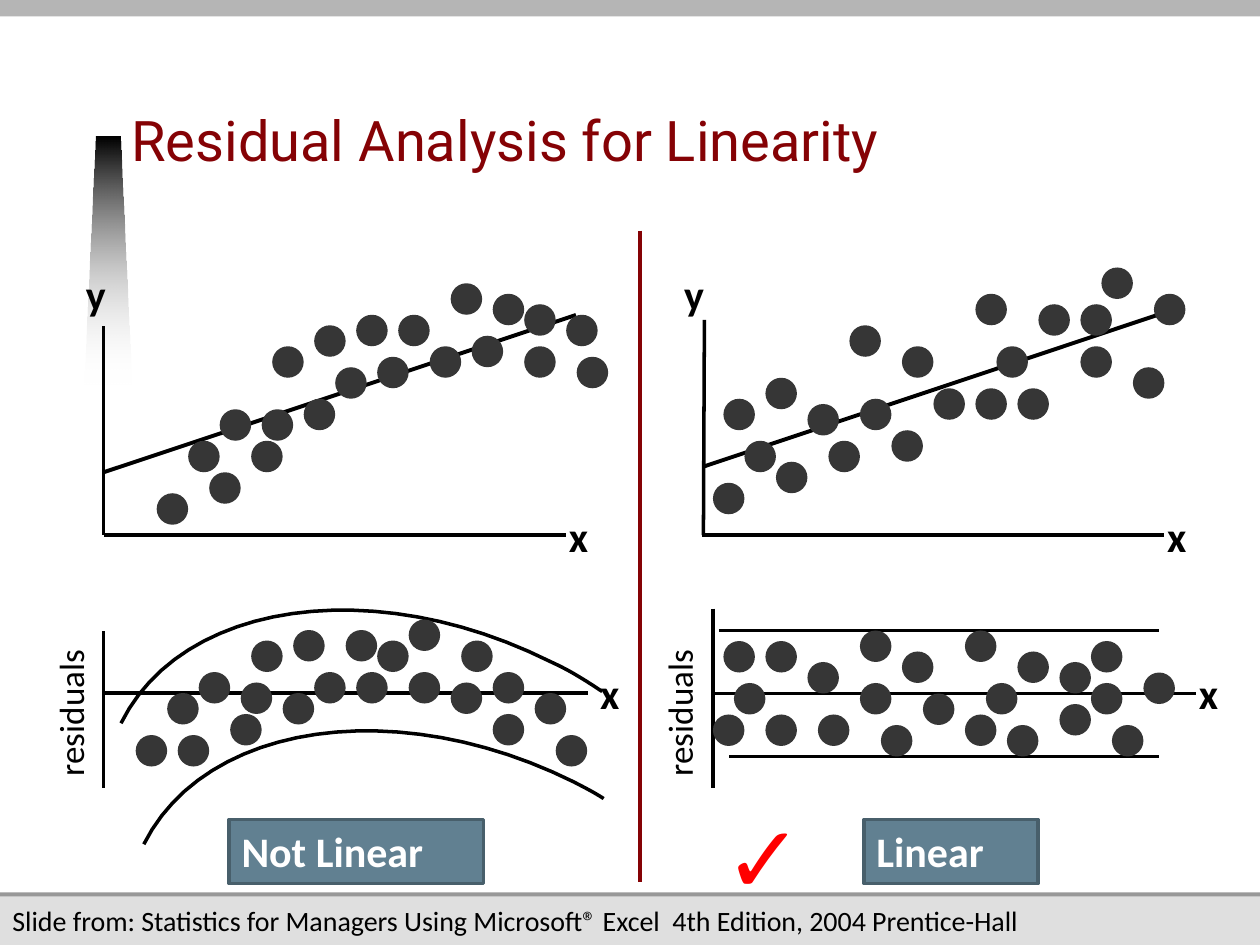
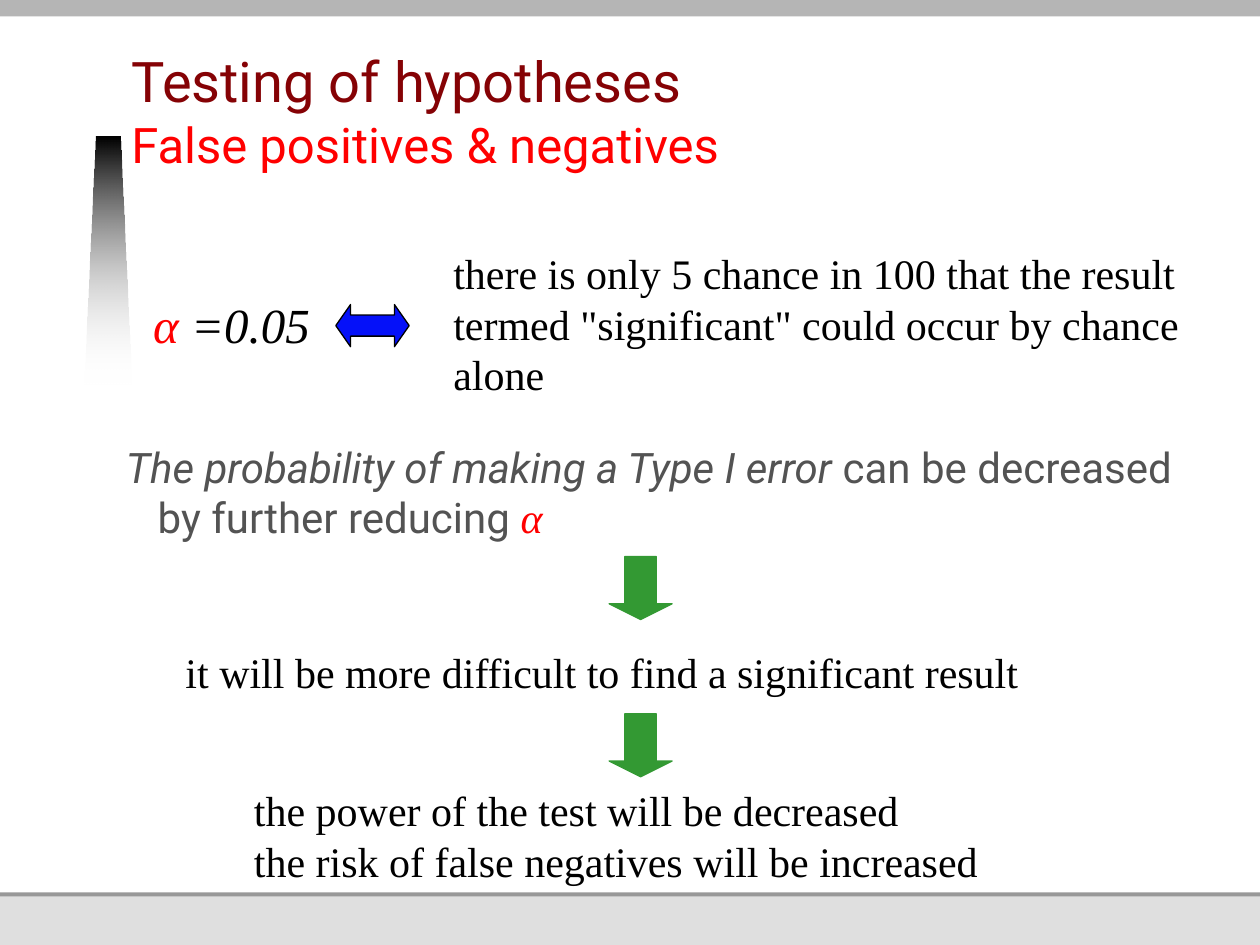
from lxml.etree import SubElement
from pptx import Presentation
from pptx.dml.color import RGBColor
from pptx.enum.shapes import MSO_CONNECTOR, MSO_SHAPE
from pptx.enum.text import MSO_ANCHOR, PP_ALIGN
from pptx.oxml.ns import qn
from pptx.util import Cm, Pt

# Colours
BLACK = RGBColor(0x00, 0x00, 0x00)
WHITE = RGBColor(0xFF, 0xFF, 0xFF)
MAROON = RGBColor(0x85, 0x02, 0x05)
RED = RGBColor(0xFF, 0x00, 0x00)
BLUE = RGBColor(0x05, 0x11, 0xF9)
GREEN = RGBColor(0x33, 0x99, 0x33)
TAG_FILL = RGBColor(0x61, 0x80, 0x91)
TAG_LINE = RGBColor(0x48, 0x5F, 0x6B)
DOT_GREY = RGBColor(0x36, 0x36, 0x36)
BODY_GREY = RGBColor(0x53, 0x53, 0x53)
TOP_GREY = RGBColor(0xB5, 0xB5, 0xB5)
RULE_GREY = RGBColor(0x98, 0x98, 0x98)
FOOTER_GREY = RGBColor(0xDF, 0xDF, 0xDF)

# Text formats
TITLE = dict(name="Roboto", size=Pt(32), color=MAROON)
SUBTITLE = dict(TITLE, size=Pt(28), color=RED)
BODY = dict(name="Roboto", size=Pt(24), color=BODY_GREY)
SERIF = dict(name="Times New Roman", size=Pt(24), color=BLACK)
ALPHA = dict(SERIF, color=RED, italic=True)
AXIS = dict(name="Calibri", size=Pt(24), color=BLACK, bold=True)
TAG = dict(AXIS, color=WHITE)
RESIDUALS = dict(name="Calibri", size=Pt(20), color=BLACK)
SOURCE = dict(name="Calibri", size=Pt(16), color=BLACK)
CHECK = dict(name="Arial", size=Pt(54), color=RED)

# Scatter dots sit on a grid of twelfths of an inch
STEP = 2.54 / 12
DOT = 3 * STEP

# Each cloud: origin in cm, then (steps right, steps up) of every dot
CLOUDS = [
    ((2.1, 10.79), [
        (5, 4), (10, 6), (28, 21), (31, 18), (37, 23), (14, 9), (35, 19),
        (40, 18), (40, 22), (44, 21), (33, 24), (22, 16), (24, 21), (20, 20),
        (8, 9), (11, 12), (15, 12), (26, 17), (16, 18), (45, 17), (19, 13)]),
    ((14.16, 10.79), [
        (1, 5), (4, 9), (26, 23), (28, 18), (36, 22), (7, 7), (30, 14),
        (36, 18), (38, 25.5), (32, 22), (18, 10), (19, 18), (14, 20), (2, 13),
        (6, 15), (10, 12.5), (22, 14), (15, 13), (41, 16), (12, 9), (43, 23),
        (26, 14)]),
    ((2.1, 13.97), [
        (3, -4), (7, -4), (26, 5), (29, 7), (33, 1), (12, -2), (34, 5),
        (37, -2), (37, 2), (41, 0), (29, 2), (20, 2), (23, 6), (18, 6),
        (6, 0), (9, 2), (13, 1), (24, 2), (14, 5), (43, -4), (17, 0)]),
    ((14.16, 13.98), [
        (10, 3), (6, 5), (1, -2), (3, 1), (2, 5), (15, 1), (15, 6), (6, -2),
        (25, 6), (19, 4), (17, -3), (11, -2), (34, 3), (25, -2), (21, 0),
        (34, -1), (27, 1), (29, -3), (30, 4), (39, -3), (37, 5), (42, 2),
        (37, 1)]),
]

# Axes and residual limits: x1, y1, x2, y2
AXES = [
    (2.09, 6.58, 2.09, 10.79), (2.09, 10.79, 11.4, 10.79),
    (14.2, 6.45, 14.18, 10.79), (14.15, 10.79, 23.47, 10.79),
    (2.09, 12.73, 2.09, 15.88), (2.09, 13.97, 11.86, 13.97),
    (14.37, 12.27, 14.37, 15.88), (14.37, 13.98, 24.1, 13.98),
    (14.49, 12.71, 23.37, 12.71), (14.7, 15.25, 23.37, 15.25),
]
FITS = [(2.09, 9.52, 11.61, 6.35), (14.2, 9.4, 23.72, 6.22)]

# Residual envelopes: start, then three Bézier points per segment
ENVELOPES = [
    [(2.44, 14.58), (3.66, 12.12), (7.54, 11.56), (11.1, 13.34),
     (11.48, 13.51), (11.81, 13.72), (12.14, 13.94)],
    [(2.9, 17.02), (4.14, 14.55), (8.03, 14), (11.58, 15.77),
     (11.79, 15.88), (11.99, 15.98), (12.17, 16.1)],
]


def cm(*values):
    return [Cm(v) for v in values]


def add_runs(p, runs):
    for text, fmt in runs:
        r = p.add_run()
        r.text = text
        for key, value in fmt.items():
            if key == "color":
                r.font.color.rgb = value
            else:
                setattr(r.font, key, value)


def fill_text(tf, paragraphs, insets=(0.25, 0.13, 0.25, 0.13), wrap=True,
              anchor=MSO_ANCHOR.TOP, indent=(0, 0), **para):
    left, top, right, bottom = cm(*insets)
    frame = dict(margin_left=left, margin_top=top, margin_right=right,
                 margin_bottom=bottom, word_wrap=wrap, vertical_anchor=anchor)
    for key, value in frame.items():
        setattr(tf, key, value)
    for i, runs in enumerate(paragraphs):
        p = tf.add_paragraph() if i else tf.paragraphs[0]
        p.alignment = PP_ALIGN.LEFT
        for key, value in para.items():
            setattr(p, key, value)
        pPr = p._p.get_or_add_pPr()
        for key, value in zip(("marL", "indent"), indent):
            pPr.set(key, str(Cm(value)))
        add_runs(p, runs)


def add_text(s, box, paragraphs, rotation=0, **options):
    sp = s.shapes.add_textbox(*cm(*box))
    sp.rotation = rotation
    fill_text(sp.text_frame, paragraphs, **options)
    return sp


def add_shape(s, kind, box, fill, line=None, width=0.75, adjust=()):
    sp = s.shapes.add_shape(kind, *cm(*box))
    sp.shadow.inherit = False
    sp.fill.solid()
    sp.fill.fore_color.rgb = fill
    if line is None:
        sp.line.fill.background()
    else:
        sp.line.color.rgb = line
        sp.line.width = Pt(width)
    for i, value in enumerate(adjust):
        sp.adjustments[i] = value
    return sp


def add_line(s, ends, color=BLACK, width=2.0):
    cxn = s.shapes.add_connector(MSO_CONNECTOR.STRAIGHT, *cm(*ends))
    cxn.line.color.rgb = color
    cxn.line.width = Pt(width)
    SubElement(cxn._element.spPr, qn("a:effectLst"))


def add_outline(s, points, close):
    points = [tuple(cm(*pt)) for pt in points]
    builder = s.shapes.build_freeform(*points[0])
    builder.add_line_segments(points[1:], close=close)
    sp = builder.convert_to_shape()
    sp.shadow.inherit = False
    return sp


def bezier(a, b, c, d, parts=24):
    for i in range(1, parts + 1):
        t = i / parts
        u = 1 - t
        yield tuple(u**3 * p + 3 * u * u * t * q + 3 * u * t * t * m + t**3 * n
                    for p, q, m, n in zip(a, b, c, d))


def add_curve(s, knots):
    points = [knots[0]]
    for i in range(0, len(knots) - 1, 3):
        points += bezier(*knots[i:i + 4])
    sp = add_outline(s, points, close=False)
    sp.fill.background()
    sp.line.color.rgb = BLACK
    sp.line.width = Pt(2)


def add_cloud(s, origin, dots):
    x0, y0 = origin
    for right, up in dots:
        box = (x0 + right * STEP, y0 - up * STEP, DOT, DOT)
        add_shape(s, MSO_SHAPE.OVAL, box, DOT_GREY)


def add_streak(s):
    sp = add_outline(s, [(1.7, 7.75), (1.93, 2.75), (2.42, 2.75), (2.65, 7.75)], close=True)
    sp.line.fill.background()
    sp.fill.gradient()
    sp.fill.gradient_angle = 270
    for stop, color, position in zip(sp.fill.gradient_stops, (BLACK, WHITE), (0, 1)):
        stop.color.rgb = color
        stop.position = position
    fade = sp._element.xpath(".//a:gs/a:srgbClr")[-1]
    SubElement(fade, qn("a:alpha")).set("val", "0")


def add_framed_slide(prs, title, subtitle=None):
    s = prs.slides.add_slide(prs.slide_layouts[6])
    # Footer ground, rule, white page and top band, stacked; then the streak
    for box, color in [((0, 0, 25.4, 19.05), FOOTER_GREY),
                       ((0, 4.52, 25.4, 13.55), RULE_GREY),
                       ((0, 0, 25.4, 17.99), WHITE),
                       ((0, 0, 25.4, 0.33), TOP_GREY)]:
        add_shape(s, MSO_SHAPE.RECTANGLE, box, color)
    add_streak(s)
    # Title
    sp = add_text(s, (2.65, 0.87, 17.45, 2.75), [[(title, TITLE)]],
                  insets=(0, 0, 0, 0.13), anchor=MSO_ANCHOR.BOTTOM,
                  line_spacing=Pt(34))
    if subtitle:
        p = sp.text_frame.paragraphs[0]
        p.add_line_break()
        add_runs(p, [(subtitle, SUBTITLE)])
    return s


def build_linearity(prs):
    s = add_framed_slide(prs, "Residual Analysis for Linearity")
    # Verdicts
    for text, left, width in [("Not Linear", 4.62, 5.13), ("Linear", 17.42, 3.51)]:
        sp = add_shape(s, MSO_SHAPE.RECTANGLE, (left, 16.52, width, 1.29),
                       TAG_FILL, TAG_LINE, 2)
        fill_text(sp.text_frame, [[(text, TAG)]])
    add_text(s, (14.35, 15.97, 3.63, 2.54), [[("✓", CHECK)]])
    # Plots
    for ends in AXES:
        add_line(s, ends)
    for ends in FITS:
        add_line(s, ends, width=2.25)
    for knots in ENVELOPES:
        add_curve(s, knots)
    for origin, dots in CLOUDS:
        add_cloud(s, origin, dots)
    # Axis labels
    for left, top in [(11.22, 10.16), (23.28, 10.16), (11.85, 13.33), (23.92, 13.33)]:
        add_text(s, (left, top, 1.1, 1.27), [[("x", AXIS)]])
    for left in (1.48, 13.54):
        add_text(s, (left, 5.28, 0.99, 1.27), [[("y", AXIS)]], wrap=False)
    for left in (-0.41, 11.86):
        add_text(s, (left, 13.54, 3.63, 1.09), [[("residuals", RESIDUALS)]], rotation=270)
    # Divider and source
    add_line(s, (12.91, 4.65, 12.91, 17.78), MAROON, 2.25)
    source = ("Slide from: Statistics for Managers Using Microsoft® Excel  "
              "4th Edition, 2004 Prentice-Hall")
    add_text(s, (0, 18.08, 21.82, 0.94), [[(source, SOURCE)]], wrap=False)


def build_hypotheses(prs):
    s = add_framed_slide(prs, "Testing of hypotheses", "False positives & negatives")
    # The probability of a Type I error
    add_text(s, (2.54, 8.9, 21.59, 2.54),
             [[("The probability of making a Type I error ", dict(BODY, italic=True)),
               ("can be decreased by further reducing ", BODY), ("α", ALPHA)]],
             insets=(0, 0, 0, 0.13), indent=(0.64, -0.64), space_after=Pt(8))
    # Meaning of alpha
    add_shape(s, MSO_SHAPE.LEFT_RIGHT_ARROW, (6.77, 6.14, 1.48, 0.85),
              BLUE, BLACK, adjust=(0.5, 0.35))
    add_text(s, (2.84, 5.81, 4.04, 1.45),
             [[("α ", dict(ALPHA, size=Pt(28))),
               ("=0.05", dict(SERIF, size=Pt(28), italic=True))]], wrap=False)
    add_text(s, (8.89, 4.87, 15.44, 3.3),
             [[('there is only 5 chance in 100 that the result termed '
                '"significant" could occur by chance alone', SERIF)]])
    # Chain of consequences
    for top in (11.22, 14.39):
        add_shape(s, MSO_SHAPE.DOWN_ARROW, (12.28, top, 1.27, 1.27),
                  GREEN, GREEN, adjust=(0.5, 0.25))
    add_text(s, (2.54, 12.9, 19.89, 1.47),
             [[("it will be more difficult to find a significant result", SERIF)]],
             indent=(0.95, 0))
    add_text(s, (3.6, 15.69, 18.62, 2.34),
             [[("the power of the test will be decreased", SERIF)],
              [("the risk of false negatives will be increased", SERIF)]],
             indent=(1.27, 0))


def main():
    prs = Presentation()
    prs.slide_width, prs.slide_height = cm(25.4, 19.05)
    build_linearity(prs)
    build_hypotheses(prs)
    prs.save("out.pptx")


if __name__ == "__main__":
    main()
